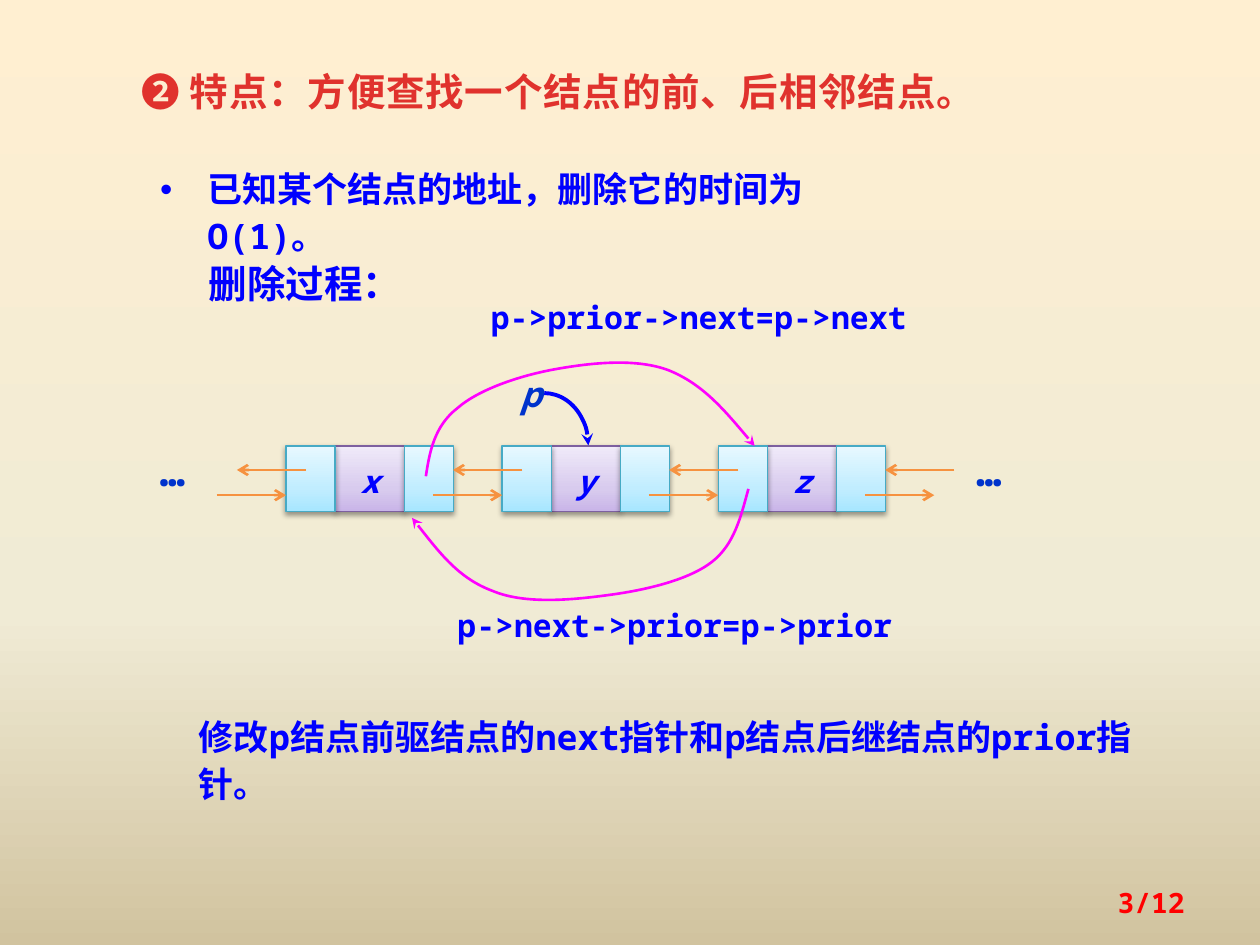
from copy import deepcopy

from pptx import Presentation
from pptx.dml.color import RGBColor
from pptx.enum.shapes import MSO_CONNECTOR as Connector, MSO_SHAPE as Shape
from pptx.enum.text import MSO_ANCHOR as Anchor, MSO_AUTO_SIZE as AutoSize, PP_ALIGN as Align
from pptx.oxml import parse_xml
from pptx.oxml.ns import nsdecls, qn
from pptx.oxml.xmlchemy import OxmlElement
from pptx.util import Inches, Pt

COLORS = {
    "title": "E0322D", "text": "0000FF", "label": "0033CC", "page": "FF0000",
    "link": "F69240", "new_link": "FF00FF",
    "data_line": "7D60A0", "pointer_line": "46AAC5",
}
BACKGROUND = [(0, "FFEFD1"), (0.65, "F0EBD5"), (1, "D1C39F")]
DATA_FILL = [(0, "C9B5E8"), (0.35, "D8CBEE"), (1, "F0EAF9")]
POINTER_FILL = [(0, "A7E6FF"), (0.35, "C1EDFF"), (1, "E7F8FF")]
SHADOW = (
    f'<a:outerShdw {nsdecls("a")} blurRad="39370" dist="20320" dir="5400000" rotWithShape="0">'
    '<a:srgbClr val="000000"><a:alpha val="38000"/></a:srgbClr></a:outerShdw>'
)

NODE_LEFT, NODE_TOP, NODE_PITCH = 2.27, 3.54, 1.715
POINTER_WIDTH, DATA_WIDTH, NODE_HEIGHT = 0.39, 0.55, 0.52
LINK_LENGTH = 0.55


def write(shape, text, size, color, align=Align.LEFT, bold=True, italic=False):
    frame = shape.text_frame
    frame.word_wrap = True
    frame.text = text
    paragraph = frame.paragraphs[0]
    paragraph.alignment = align
    paragraph.line_spacing = 1.1
    paragraph.space_before = Pt(0)
    font = paragraph.font
    font.name, font.size, font.bold, font.italic = "Noto Sans Mono", Pt(size), bold, italic
    font.color.rgb = RGBColor.from_string(COLORS[color])


def style_line(shape, color, width, arrowhead=None):
    """Colour a line, drop its shadow and give its far end an arrowhead."""
    shape.line.color.rgb = RGBColor.from_string(COLORS[color])
    shape.line.width = Pt(width)
    properties = shape._element.spPr
    if arrowhead:
        tail = OxmlElement("a:tailEnd")
        tail.set("type", arrowhead)
        properties.find(qn("a:ln")).append(tail)
    properties.append(OxmlElement("a:effectLst"))


presentation = Presentation()
presentation.slide_width, presentation.slide_height = Inches(10), Inches(7.5)
slide = presentation.slides.add_slide(presentation.slide_layouts[1])
shapes = slide.shapes

# Title and list
title, body = slide.placeholders
for placeholder, box, text, size, color in (
    (title, (1.02, 0.45, 7.03, 0.51), "❷ 特点：方便查找一个结点的前、后相邻结点。", 22, "title"),
    (body, (1.17, 1.25, 5.4, 0.85), "已知某个结点的地址，删除它的时间为O(1)。", 20, "text"),
):
    placeholder.left, placeholder.top, placeholder.width, placeholder.height = map(Inches, box)
    write(placeholder, text, size, color)
    placeholder.text_frame.vertical_anchor = Anchor.TOP
    placeholder.text_frame.auto_size = AutoSize.NONE
title.text_frame.paragraphs[0].runs[0]._r.get_or_add_rPr().set("spc", "50")

# Nodes: prior pointer, data, next pointer
gradients = [(slide.background.fill, BACKGROUND, 270)]
for index, name in enumerate("xyz"):
    left = NODE_LEFT + index * NODE_PITCH
    for offset, width, stops, line, text in (
        (POINTER_WIDTH, DATA_WIDTH, DATA_FILL, "data_line", name),
        (POINTER_WIDTH + DATA_WIDTH, POINTER_WIDTH, POINTER_FILL, "pointer_line", ""),
        (0, POINTER_WIDTH, POINTER_FILL, "pointer_line", ""),
    ):
        cell = shapes.add_shape(Shape.RECTANGLE, Inches(left + offset), Inches(NODE_TOP),
                                Inches(width), Inches(NODE_HEIGHT))
        gradients.append((cell.fill, stops, 90))
        style_line(cell, line, 0.75)
        cell._element.spPr.find(qn("a:effectLst")).append(parse_xml(SHADOW))
        if text:
            write(cell, text, 18, "text", Align.CENTER, italic=True)

for fill, stops, angle in gradients:
    fill.gradient()
    fill.gradient_angle = angle
    first = fill.gradient_stops[0]._gs
    first.addnext(deepcopy(first))
    for stop, (position, color) in zip(fill.gradient_stops, stops):
        stop.position = position
        stop.color.rgb = RGBColor.from_string(color)

# Links between neighbouring nodes
for index in range(4):
    shift = index * NODE_PITCH
    for start, length, y in ((1.72, LINK_LENGTH, 3.93), (2.43, -LINK_LENGTH, 3.73)):
        link = shapes.add_connector(Connector.STRAIGHT, Inches(start + shift), Inches(y),
                                    Inches(start + shift + length), Inches(y))
        style_line(link, "link", 1.5, "arrow")

# Pointer p to node y
arc = shapes.add_shape(Shape.ARC, Inches(3.97), Inches(3.12), Inches(0.7), Inches(0.83))
arc.fill.background()
style_line(arc, "text", 2.25, "stealth")

# New links that bypass node y: a start, then three points for each Bézier segment
NEW_LINKS = (
    [(3.38, 3.78), (3.41, 3.58), (3.45, 3.38), (3.63, 3.24), (3.8, 3.09), (4.13, 2.98),
     (4.41, 2.93), (4.69, 2.88), (5.05, 2.84), (5.31, 2.94), (5.58, 3.05), (5.78, 3.29),
     (5.99, 3.54)],
    [(5.94, 3.88), (5.88, 4.1), (5.83, 4.32), (5.65, 4.46), (5.47, 4.6), (5.14, 4.68),
     (4.85, 4.72), (4.56, 4.76), (4.17, 4.8), (3.91, 4.69), (3.64, 4.59), (3.46, 4.35),
     (3.27, 4.11)],
)
for points in NEW_LINKS:
    start, *rest = [(Inches(x), Inches(y)) for x, y in points]
    builder = shapes.build_freeform(*start)
    builder.add_line_segments(rest, close=False)
    curve = builder.convert_to_shape()
    segments = list(curve._element.iter(qn("a:lnTo")))
    for first in range(0, len(segments), 3):
        bezier = OxmlElement("a:cubicBezTo")
        segments[first].addprevious(bezier)
        for segment in segments[first:first + 3]:
            bezier.append(segment[0])
            segment.getparent().remove(segment)
    curve.fill.background()
    style_line(curve, "new_link", 1.5, "stealth")

# Labels
for box, text, size, color, align in (
    ((1.56, 1.98, 1.88, 0.51), "删除过程：", 22, "text", Align.LEFT),
    ((7.5, 3.44, 0.7, 0.55), "…", 24, "label", Align.CENTER),
    ((1.02, 3.44, 0.7, 0.55), "…", 24, "label", Align.CENTER),
    ((3.75, 2.29, 3.59, 0.43), "p->prior->next=p->next", 18, "text", Align.CENTER),
    ((3.44, 4.73, 3.83, 0.43), "p->next->prior=p->prior", 18, "text", Align.CENTER),
    ((1.48, 5.6, 7.81, 0.47),
     "修改p结点前驱结点的next指针和p结点后继结点的prior指针。", 20, "text", Align.LEFT),
):
    write(shapes.add_textbox(*map(Inches, box)), text, size, color, align)

pointer = shapes.add_textbox(Inches(4.06), Inches(2.92), Inches(0.31), Inches(0.37))
write(pointer, "p", 20, "label", Align.CENTER, italic=True)
frame = pointer.text_frame
frame.margin_left = frame.margin_right = frame.margin_top = frame.margin_bottom = 0

page_number = shapes.add_textbox(Inches(7.17), Inches(6.95), Inches(2.33), Inches(0.4))
write(page_number, "3/12", 16, "page", Align.RIGHT)
page_number.text_frame.vertical_anchor = Anchor.MIDDLE

presentation.save("out.pptx")
